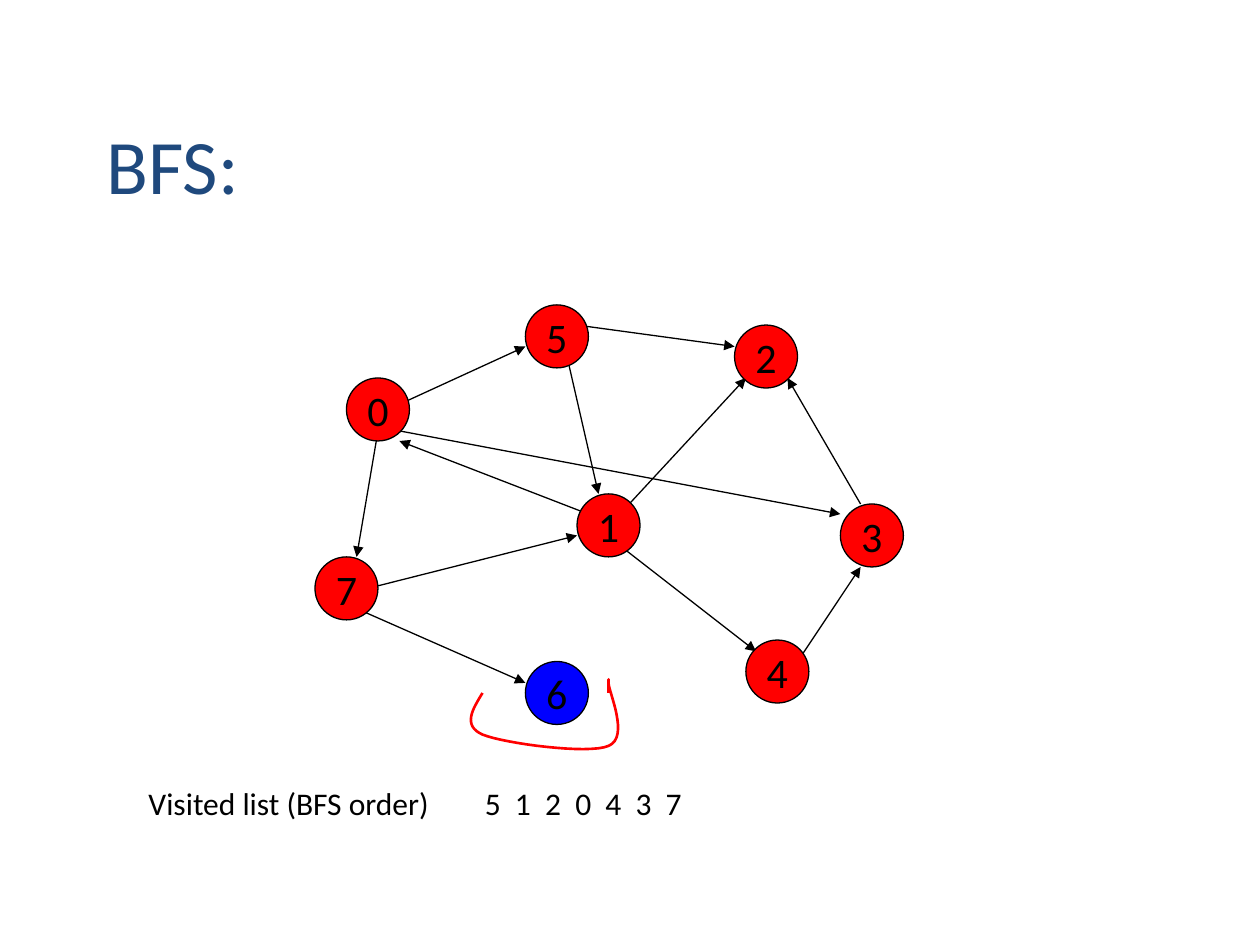
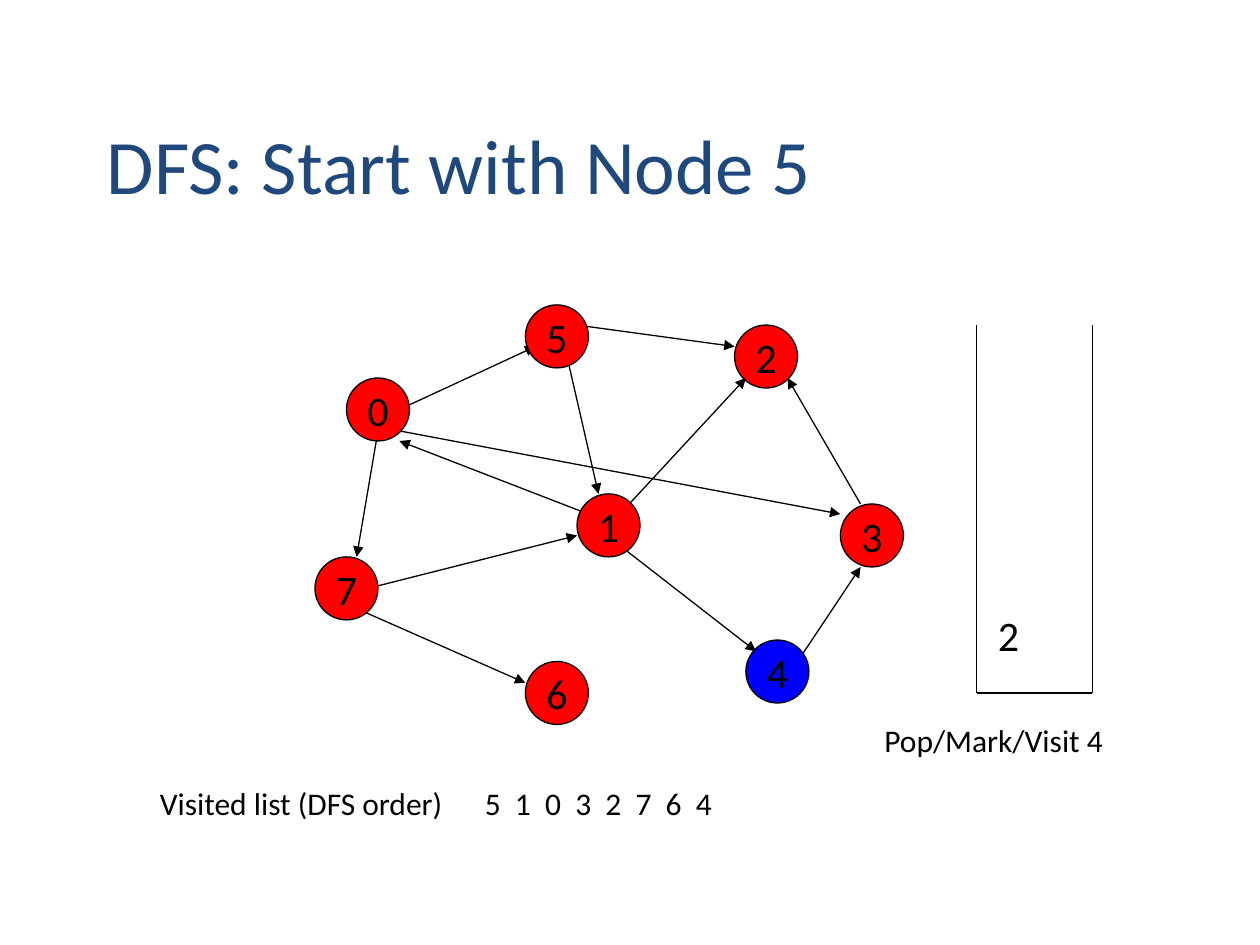
"""Two slides of one directed graph: breadth-first and depth-first visits."""
from lxml.etree import SubElement
from pptx import Presentation
from pptx.dml.color import RGBColor
from pptx.enum.shapes import MSO_CONNECTOR as Link, MSO_SHAPE as Kind
from pptx.enum.text import MSO_ANCHOR as Anchor, PP_ALIGN as Align
from pptx.oxml.ns import qn
from pptx.util import Inches, Pt

FONT = "Calibri"
BLACK, RED, BLUE, NAVY = "000000", "FF0000", "0000FF", "1F497D"
SIZE = 0.5

NODES = {
    "0": (2.75, 3), "7": (2.5, 4.42), "1": (4.58, 3.92), "5": (4.17, 2.42),
    "4": (5.92, 5.08), "3": (6.67, 4), "2": (5.83, 2.58), "6": (4.17, 5.25),
}
EDGES = [
    ((4.92, 4.08), (5.92, 3)), ((4.5, 2.83), (4.75, 3.92)),
    ((2.92, 4.67), (4.58, 4.25)), ((2.83, 4.83), (4.17, 5.42)),
    ((3, 3.42), (2.83, 4.42)), ((4.92, 4.33), (6, 5.17)),
    ((6.33, 5.25), (6.83, 4.5)), ((6.83, 4), (6.25, 3)),
    ((4.58, 2.58), (5.83, 2.75)), ((3.17, 3.42), (6.67, 4.08)),
    ((4.67, 4.08), (3.17, 3.5)),
]
BFS = dict(title="BFS:", label="Visited list (BFS order)", left=1.08,
           order="5120437", now="6", edge=((3.08, 3.25), (4.17, 2.75)))
DFS = dict(title="DFS: Start with Node 5", label="Visited list (DFS order)",
           left=1.17, order="51032764", now="4",
           edge=((3.17, 3.25), (4.25, 2.75)))
HOOK = [
    ((3.83, 5.5), (3.75, 5.63), (3.67, 5.76), (3.83, 5.83)),
    ((3.83, 5.83), (4, 5.9), (4.67, 5.99), (4.83, 5.92)),
    ((4.83, 5.92), (5, 5.85), (4.83, 5.49), (4.83, 5.42)),
    ((4.83, 5.42), (4.83, 5.35), (4.83, 5.42), (4.83, 5.5)),
]
STACK = [(7.75, 2.58), (7.75, 5.5), (8.67, 5.5), (8.67, 2.58)]


def color(code):
    return RGBColor.from_string(code)


def write(shape, text, size=18, ink=BLACK, anchor=Anchor.TOP,
          align=Align.LEFT, wrap=True, left=0.1, bottom=0.05):
    frame = shape.text_frame
    frame.word_wrap = wrap
    frame.vertical_anchor = anchor
    frame.margin_left, frame.margin_bottom = Inches(left), Inches(bottom)
    para = frame.paragraphs[0]
    para.alignment = align
    run = para.add_run()
    run.text = text
    run.font.name, run.font.size = FONT, Pt(size)
    run.font.color.rgb = color(ink)


def label(slide, box, text, **style):
    write(slide.shapes.add_textbox(*map(Inches, box)), text, **style)


def stroke(shape, ink=BLACK, width=0.75):
    shape.line.color.rgb = color(ink)
    shape.line.width = Pt(width)


def line(slide, start, end, arrow=False):
    link = slide.shapes.add_connector(
        Link.STRAIGHT, *map(Inches, (*start, *end)))
    stroke(link)
    if arrow:
        SubElement(link.line._get_or_add_ln(), qn("a:tailEnd"), type="triangle")
    SubElement(link._element.spPr, qn("a:effectLst"))


def node(slide, name, fill):
    dot = slide.shapes.add_shape(
        Kind.OVAL, *map(Inches, (*NODES[name], SIZE, SIZE)))
    dot.shadow.inherit = False
    dot.fill.solid()
    dot.fill.fore_color.rgb = color(fill)
    stroke(dot)
    write(dot, name, size=24, anchor=Anchor.MIDDLE, align=Align.CENTER,
          wrap=False)


def bend(curve, t):
    parts = ((1 - t) ** 3, 3 * t * (1 - t) ** 2, 3 * t * t * (1 - t), t ** 3)
    return tuple(Inches(sum(w * p[i] for w, p in zip(parts, curve)))
                 for i in (0, 1))


def hook(slide, steps=16):
    dots = [bend(c, n / steps) for c in HOOK for n in range(1, steps + 1)]
    pen = slide.shapes.build_freeform(*map(Inches, HOOK[0][0]))
    pen.add_line_segments(dots, close=False)
    mark = pen.convert_to_shape()
    mark.shadow.inherit = False
    mark.fill.background()
    stroke(mark, RED, 1.5)


def graph(deck, title, label_text, left, order, now, edge):
    slide = deck.slides.add_slide(deck.slide_layouts[6])
    label(slide, (0.75, 0.67, 8.5, 1.25), title, size=44, ink=NAVY,
          anchor=Anchor.MIDDLE)
    for start, end in EDGES + [edge]:
        line(slide, start, end, arrow=True)
    for name in NODES:
        node(slide, name, BLUE if name == now else RED)
    label(slide, (3.75, 6.17, 2.5, 0.43), "  ".join(order))
    label(slide, (left, 6.17, 2.5, 0.4), label_text)
    return slide


def build(deck, page):
    return graph(deck, page["title"], page["label"], page["left"],
                 page["order"], page["now"], page["edge"])


deck = Presentation()
deck.slide_width, deck.slide_height = Inches(10), Inches(7.5)
hook(build(deck, BFS))
last = build(deck, DFS)
for start, end in zip(STACK, STACK[1:]):
    line(last, start, end)
label(last, (7.75, 1.92, 0.92, 3.49), "2", size=24, anchor=Anchor.BOTTOM,
      left=0.17, bottom=0.17)
label(last, (6.92, 5.67, 2.42, 0.43), "Pop/Mark/Visit 4")
deck.save("out.pptx")
